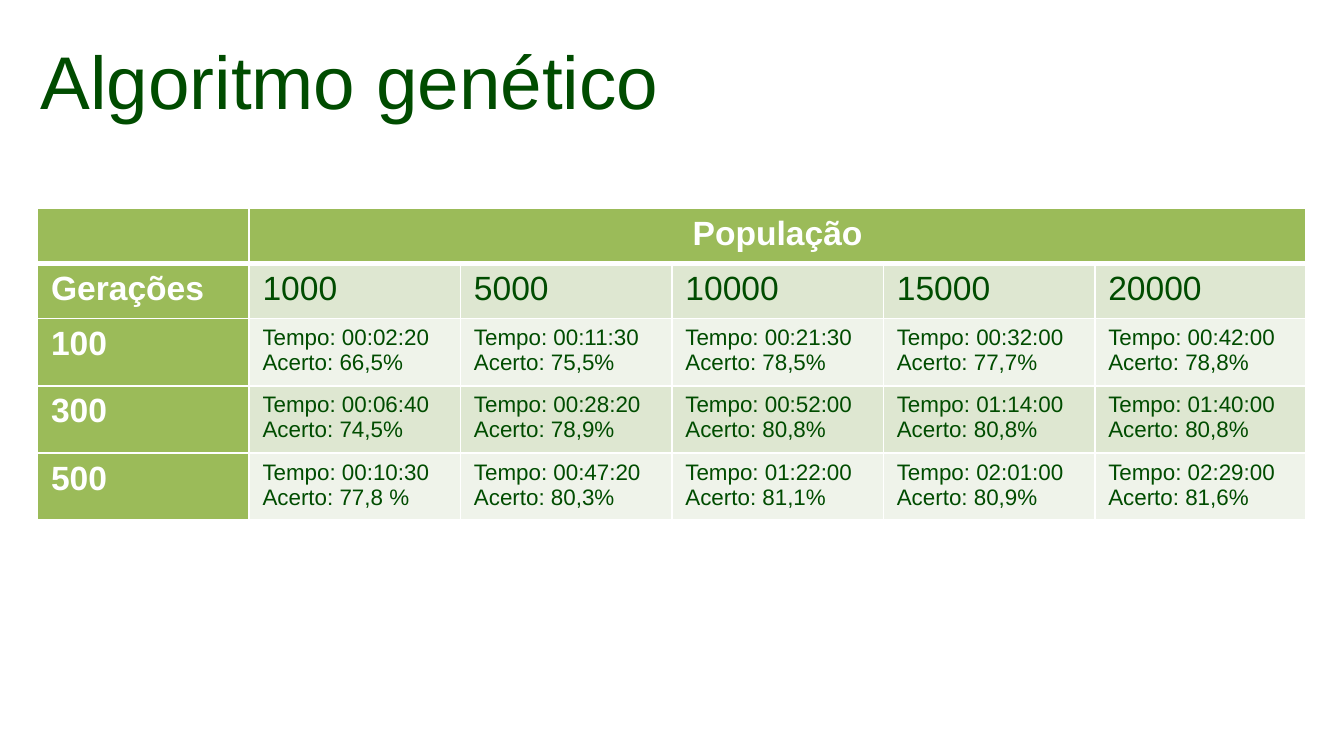
from lxml import etree
from pptx import Presentation
from pptx.dml.color import RGBColor
from pptx.enum import text
from pptx.oxml import ns
from pptx.util import Inches, Pt

COLORS = {
    "text": "004C00",
    "header": "9BBB59",
    "band": "DEE7D1",
    "light": "EFF3EA",
    "white": "FFFFFF",
}
FONT = "Arial"
POPULATIONS = ["1000", "5000", "10000", "15000", "20000"]
RESULTS = {
    "100": [("00:02:20", "66,5%"), ("00:11:30", "75,5%"), ("00:21:30", "78,5%"),
            ("00:32:00", "77,7%"), ("00:42:00", "78,8%")],
    "300": [("00:06:40", "74,5%"), ("00:28:20", "78,9%"), ("00:52:00", "80,8%"),
            ("01:14:00", "80,8%"), ("01:40:00", "80,8%")],
    "500": [("00:10:30", "77,8 %"), ("00:47:20", "80,3%"), ("01:22:00", "81,1%"),
            ("02:01:00", "80,9%"), ("02:29:00", "81,6%")],
}


def color(name):
    return RGBColor.from_string(COLORS[name])


def write(frame, content, size, ink, bold=False, align=text.PP_ALIGN.LEFT):
    frame.text = content
    for paragraph in frame.paragraphs:
        paragraph.alignment = align
        for run in paragraph.runs:
            run.font.name = FONT
            run.font.size = Pt(size)
            run.font.bold = bold
            run.font.color.rgb = color(ink)


def set_borders(cell, widths):
    properties = cell._tc.get_or_add_tcPr()
    for side, width in zip("LRTB", widths):
        line = etree.SubElement(properties, ns.qn(f"a:ln{side}"), w=str(Pt(width)))
        fill = etree.SubElement(line, ns.qn("a:solidFill"))
        etree.SubElement(fill, ns.qn("a:srgbClr"), val=COLORS["white"])


def add_title(slide, content):
    title = slide.shapes.title
    title.left, title.top = Inches(0.2), Inches(0.21)
    title.width, title.height = Inches(4.85), Inches(0.77)
    write(title.text_frame, content, 40, "text")
    title.text_frame.word_wrap = False
    title.text_frame.auto_size = text.MSO_AUTO_SIZE.SHAPE_TO_FIT_TEXT


def add_results(slide):
    rows = [["", "População", "", "", "", ""], ["Gerações", *POPULATIONS]]
    for generations, results in RESULTS.items():
        rows.append([generations] + [f"Tempo: {time}\nAcerto: {hits}" for time, hits in results])
    table = slide.shapes.add_table(
        len(rows), len(rows[0]), Inches(0.28), Inches(1.55), Inches(9.45), Inches(2.31)
    ).table
    for column in table.columns:
        column.width = Inches(9.44 / len(rows[0]))
    for r, values in enumerate(rows):
        table.rows[r].height = Inches(0.41)
        for c, value in enumerate(values):
            cell = table.cell(r, c)
            heading = r == 0 or c == 0
            set_borders(cell, (1, 1, 3 if r == 1 else 1, 3 if r == 0 else 1))
            cell.fill.solid()
            cell.fill.fore_color.rgb = color("header" if heading else "band" if r % 2 else "light")
            write(cell.text_frame, value, 18 if heading or r == 1 else 12,
                  "white" if heading else "text", heading,
                  text.PP_ALIGN.CENTER if r == 0 else text.PP_ALIGN.LEFT)
    table.cell(0, 1).merge(table.cell(0, len(POPULATIONS)))


def main():
    deck = Presentation()
    deck.slide_width, deck.slide_height = Inches(10), Inches(10 * 9 / 16)
    slide = deck.slides.add_slide(deck.slide_layouts[5])
    add_title(slide, "Algoritmo genético")
    add_results(slide)
    deck.save("out.pptx")


main()
